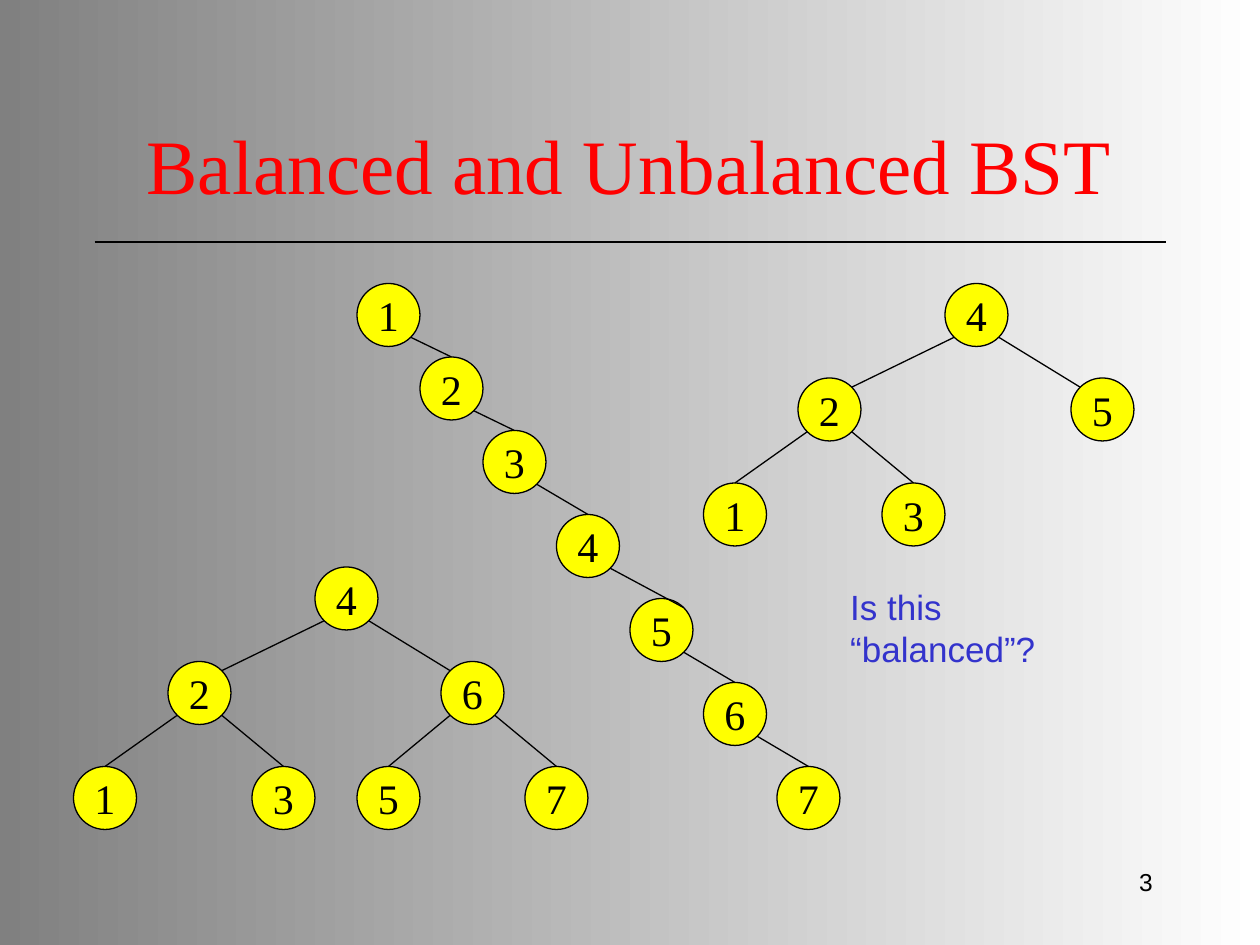
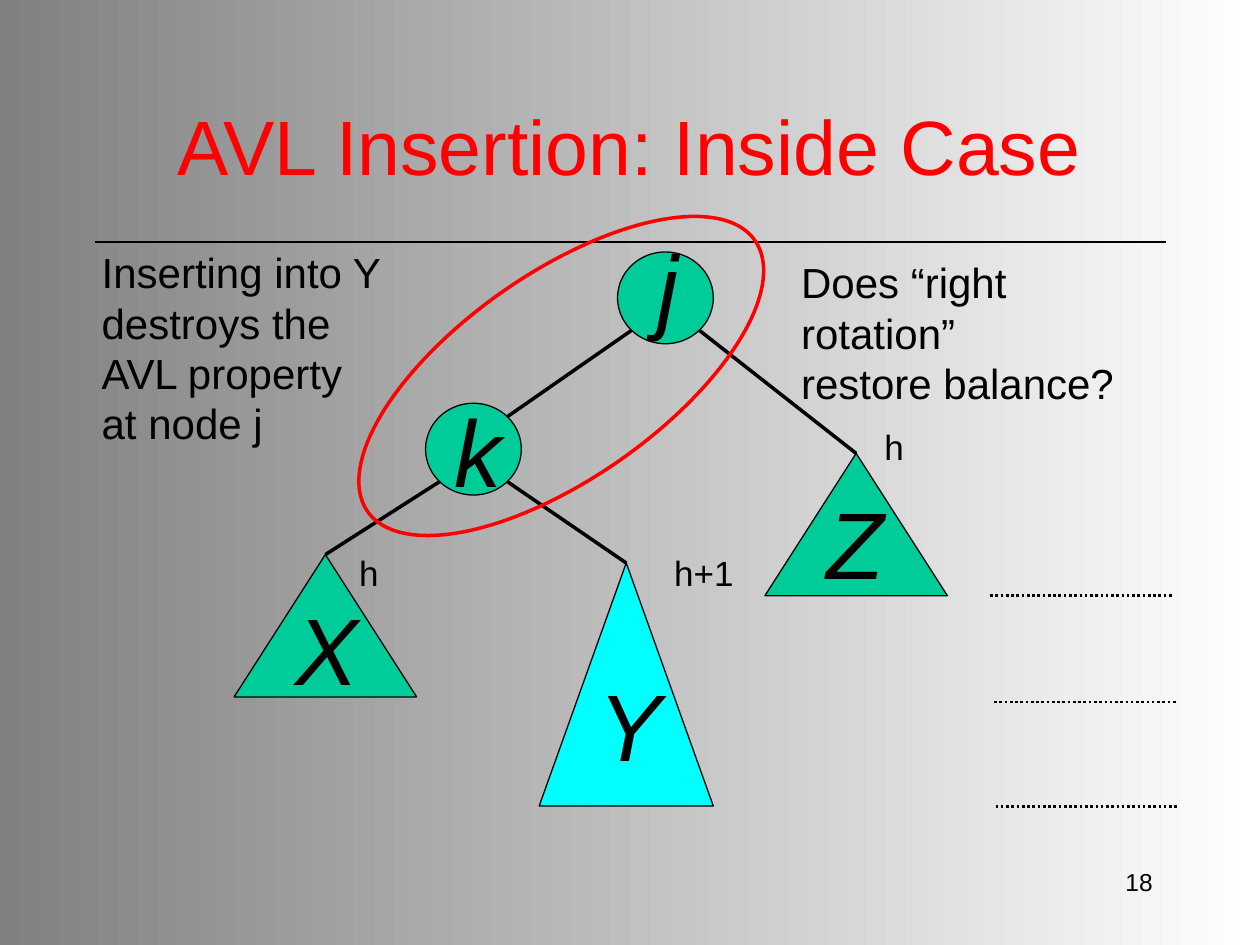
import pptx
import pptx.dml.color
import pptx.enum.dml
import pptx.enum.shapes
import pptx.enum.text
import pptx.oxml.ns
import pptx.util
from lxml import etree

Cm, Pt = pptx.util.Cm, pptx.util.Pt
SHAPE = pptx.enum.shapes.MSO_SHAPE
ALIGN = pptx.enum.text.PP_ALIGN
ANCHOR = pptx.enum.text.MSO_ANCHOR
AUTO_SIZE = pptx.enum.text.MSO_AUTO_SIZE

SANS, SERIF = "Arial", "Times New Roman"
BLACK, RED, BLUE = "000000", "FF0000", "3333CC"
YELLOW, GREEN, CYAN = "FFFF00", "00CC99", "00FFFF"
GREY, WHITE = "808080", "FFFFFF"

# Search trees stand on a grid of twelfths of an inch; a node is six units wide
UNIT = 2.54 / 12
NODE_SIZE = 6 * UNIT

# A node's key is the way down to it: L and R are left and right children
FULL_SLOTS = {"": (23, 0), "L": (9, 9), "R": (35, 9),
              "LL": (0, 19), "LR": (17, 19), "RL": (27, 19), "RR": (43, 19)}
FULL_ENDS = {"L": "top right", "R": "top left"}
CHAIN_STEPS = [(0, 0), (6, 7), (12, 14), (19, 22), (26, 30), (33, 38), (40, 46)]
CHAIN_SLOTS = {"R" * depth: step for depth, step in enumerate(CHAIN_STEPS)}
CHAIN_ENDS = {"RRRR": "top right"}


# Shared helpers
def rgb(code):
    return pptx.dml.color.RGBColor.from_string(code)


def cm_box(*lengths):
    return [Cm(length) for length in lengths]


def format_text(frame, lines, size, font=SANS, colour=BLACK, italic=False,
                align=ALIGN.LEFT, anchor=ANCHOR.TOP, wrap=False):
    frame.word_wrap = wrap
    frame.vertical_anchor = anchor
    frame.text = "\n".join(lines)
    for paragraph in frame.paragraphs:
        paragraph.alignment = align
        paragraph.font.size = Pt(size)
        paragraph.font.name = font
        paragraph.font.italic = italic
        paragraph.font.color.rgb = rgb(colour)


def add_text(slide, box, lines, size, grow=True, **style):
    frame = slide.shapes.add_textbox(*cm_box(*box)).text_frame
    format_text(frame, lines, size, **style)
    frame.auto_size = AUTO_SIZE.SHAPE_TO_FIT_TEXT if grow else AUTO_SIZE.NONE


def add_outline(slide, kind, box, fill=None, line=BLACK, width=0.75):
    shape = slide.shapes.add_shape(kind, *cm_box(*box))
    shape.shadow.inherit = False
    if fill:
        shape.fill.solid()
        shape.fill.fore_color.rgb = rgb(fill)
    else:
        shape.fill.background()
    shape.line.color.rgb = rgb(line)
    shape.line.width = Pt(width)
    return shape


def add_line(slide, start, end, width=0.75, dash=None):
    line = slide.shapes.add_connector(
        pptx.enum.shapes.MSO_CONNECTOR.STRAIGHT, *start, *end)
    line.line.color.rgb = rgb(BLACK)
    line.line.width = Pt(width)
    if dash:
        line.line.dash_style = dash
    etree.SubElement(line._element.spPr, pptx.oxml.ns.qn("a:effectLst"))


def rim_point(shape, place):
    """Point on a shape's rim: its top, or a diagonal such as "bottom left"."""
    reach = 0.5 ** 0.5 / 2
    across = 0.5 + reach * (("right" in place) - ("left" in place))
    down = 0 if place == "top" else 0.5 + reach * (1 if "bottom" in place else -1)
    return (round(shape.left + across * shape.width),
            round(shape.top + down * shape.height))


# Background, title, rule and slide number
def paint_background(master):
    fill = master.background.fill
    fill.gradient()
    fill.gradient_angle = 0
    for stop, colour, position in zip(fill.gradient_stops, (GREY, WHITE), (0, 1)):
        stop.color.rgb = rgb(colour)
        stop.position = position


def start_slide(deck, title, title_box, title_font, number):
    slide = deck.slides.add_slide(deck.slide_layouts[5])
    add_line(slide, cm_box(1.91, 4.88), cm_box(23.5, 4.88))
    heading = slide.shapes.title
    heading.left, heading.top, heading.width, heading.height = cm_box(*title_box)
    format_text(heading.text_frame, [title], 44, font=title_font, colour=RED,
                align=ALIGN.CENTER, anchor=ANCHOR.MIDDLE, wrap=True)
    heading.text_frame.auto_size = AUTO_SIZE.NONE
    add_text(slide, (18.21, 17.35, 5.28, 1.27), [number], 14, grow=False,
             align=ALIGN.RIGHT, wrap=True)
    return slide


# Binary search trees
def draw_search_tree(slide, left, top, slots, keys, edge_ends):
    nodes = {}
    for (way, (column, row)), key in zip(slots.items(), keys):
        box = ((left + column) * UNIT, (top + row) * UNIT, NODE_SIZE, NODE_SIZE)
        nodes[way] = add_outline(slide, SHAPE.OVAL, box, YELLOW)
        format_text(nodes[way].text_frame, [key], 24, font=SERIF,
                    align=ALIGN.CENTER, anchor=ANCHOR.MIDDLE)
    for way, child in nodes.items():
        if way:
            side = "bottom left" if way[-1] == "L" else "bottom right"
            add_line(slide, rim_point(nodes[way[:-1]], side),
                     rim_point(child, edge_ends.get(way, "top")))


def build_balance_slide(deck):
    slide = start_slide(deck, "Balanced and Unbalanced BST",
                        (1.47, 1.7, 22.43, 3.18), SERIF, "3")
    draw_search_tree(slide, 67, 27, FULL_SLOTS, "42513", FULL_ENDS)
    draw_search_tree(slide, 34, 27, CHAIN_SLOTS, "1234567", CHAIN_ENDS)
    draw_search_tree(slide, 7, 54, FULL_SLOTS, "4261357", FULL_ENDS)
    add_text(slide, (16.89, 11.68, 6.27, 1.12), ["Is this “balanced”?"], 20,
             colour=BLUE)


# AVL tree with subtrees X, Y and Z
def draw_avl_tree(slide, left, top):
    # letter, shape, position, size, fill, letter offset
    parts = [
        ("j", SHAPE.OVAL, (7.73, 0), (1.93, 1.85), GREEN, (0.56, -0.61)),
        ("k", SHAPE.OVAL, (3.86, 3.05), (1.93, 1.85), GREEN, (0.33, -0.33)),
        ("X", SHAPE.ISOSCELES_TRIANGLE, (0, 6.1), (3.68, 2.87), GREEN, (0.99, 0.61)),
        ("Y", SHAPE.ISOSCELES_TRIANGLE, (6.15, 6.27), (3.51, 4.9), CYAN, (0.94, 1.98)),
        ("Z", SHAPE.ISOSCELES_TRIANGLE, (10.7, 4.06), (3.68, 2.87), GREEN, (0.99, 0.51)),
    ]
    drawn = {}
    for letter, kind, (x, y), size, fill, (dx, dy) in parts:
        x, y = left + x, top + y
        drawn[letter] = add_outline(slide, kind, (x, y, *size), fill)
        add_text(slide, (x + dx, y + dy, 1.17, 2.54), [letter], 54,
                 italic=True, wrap=True)

    for parent, side, child, end in [("j", "left", "k", "top right"),
                                     ("j", "right", "Z", "top"),
                                     ("k", "left", "X", "top"),
                                     ("k", "right", "Y", "top")]:
        add_line(slide, rim_point(drawn[parent], "bottom " + side),
                 rim_point(drawn[child], end), width=2)

    # Ring around the rotating pair
    ring = add_outline(slide, SHAPE.OVAL, (left + 1.83, top + 0.43, 9.53, 4.14),
                       line=RED, width=2)
    ring.rotation = 325

    # Subtree heights
    for height, x, y, width in [("h", 12.86, 3.38, 0.91), ("h+1", 8.62, 5.92, 1.7),
                                ("h", 2.27, 5.92, 0.89)]:
        add_text(slide, (left + x, top + y, width, 1.12), [height], 20)


def draw_level_marks(slide, marks, length):
    for x, y in marks:
        add_line(slide, cm_box(x, y), cm_box(x + length, y), width=1.5,
                 dash=pptx.enum.dml.MSO_LINE.ROUND_DOT)


def build_insertion_slide(deck):
    slide = start_slide(deck, "AVL Insertion: Inside Case",
                        (1.85, 1.8, 21.69, 2.24), SANS, "18")
    add_text(slide, (1.8, 4.85, 6.38, 4.32),
             ["Inserting into Y", "destroys the", "AVL property", "at node j"], 24)
    draw_avl_tree(slide, 4.72, 5.08)
    draw_level_marks(slide, [(19.96, 12.01), (20.04, 14.15), (20.07, 16.26)], 3.68)
    add_text(slide, (15.9, 5.05, 7.98, 2.29),
             ["Does “right rotation”", "restore balance?"], 24)


def main():
    deck = pptx.Presentation()
    deck.slide_width, deck.slide_height = cm_box(25.4, 19.05)
    paint_background(deck.slide_master)
    build_balance_slide(deck)
    build_insertion_slide(deck)
    deck.save("out.pptx")


if __name__ == "__main__":
    main()
